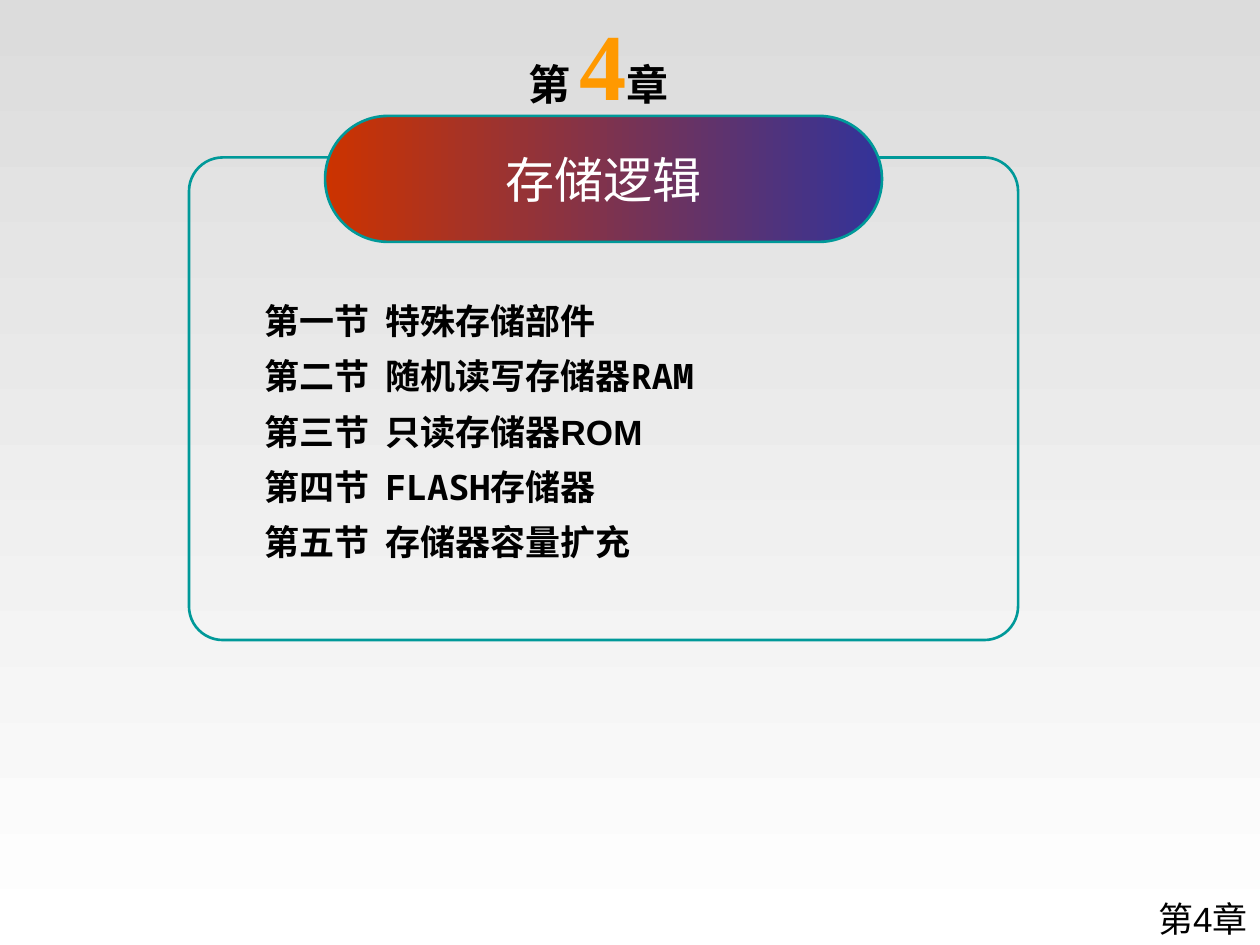
"""Build the contents slide of chapter 4, storage logic."""
from dataclasses import dataclass
from typing import Optional

import lxml.etree
import pptx
import pptx.dml.color
import pptx.dml.fill
import pptx.enum.shapes
import pptx.enum.text
import pptx.oxml.ns
import pptx.shapes.autoshape
import pptx.slide
import pptx.text.text
import pptx.util

Inches = pptx.util.Inches
Align = pptx.enum.text.PP_ALIGN
Anchor = pptx.enum.text.MSO_ANCHOR


@dataclass(frozen=True)
class Theme:
    black: str = "000000"
    white: str = "FFFFFF"
    orange: str = "FF9900"
    teal: str = "009999"
    backdrop: tuple[str, str] = ("DCDCDC", "FFFFFF")
    banner: tuple[str, str] = ("CC3300", "333399")
    serif: str = "Times New Roman"
    sans: str = "Arial"
    mono: str = "Noto Sans Mono"
    body_size: int = 20
    chapter_size: int = 24
    banner_size: int = 28
    numeral_size: int = 54
    outline: float = 1.5
    section_gap: float = 7.5


@dataclass(frozen=True)
class Area:
    left: float
    top: float
    width: float
    height: float

    def lengths(self) -> list[pptx.util.Length]:
        return [Inches(side) for side in (self.left, self.top, self.width, self.height)]


@dataclass(frozen=True)
class Span:
    text: str
    font: Optional[str] = None
    size: Optional[float] = None
    color: Optional[str] = None
    bold: Optional[bool] = None


THEME = Theme()
TITLE_TAB = Inches(0.96)
SECTIONS = [
    [Span("第一节\t特殊存储部件", THEME.serif)],
    [Span("第二节\t随机读写存储器", THEME.serif), Span("RAM", THEME.mono)],
    [Span("第三节\t只读存储器ROM", THEME.sans)],
    [Span("第四节\t", THEME.serif), Span("FLASH", THEME.mono), Span("存储器", THEME.serif)],
    [Span("第五节\t存储器容量扩充", THEME.serif)],
]


def style_font(font: pptx.text.text.Font, style: Span) -> None:
    """Apply the settings that the style names."""
    if style.font:
        font.name = style.font
    if style.size:
        font.size = pptx.util.Pt(style.size)
    if style.color:
        font.color.rgb = pptx.dml.color.RGBColor.from_string(style.color)
    if style.bold is not None:
        font.bold = style.bold


def write_para(para: pptx.text.text._Paragraph, base: Span, spans: list[Span], align: Align) -> None:
    """Write spans over a shared paragraph font."""
    para.alignment = align
    style_font(para.font, base)
    for span in spans:
        run = para.add_run()
        run.text = span.text
        style_font(run.font, span)


def add_text_box(slide: pptx.slide.Slide, area: Area) -> pptx.text.text.TextFrame:
    """Add a wrapping text box and return its frame."""
    frame = slide.shapes.add_textbox(*area.lengths()).text_frame
    frame.word_wrap = True
    return frame


def add_tab_stop(para: pptx.text.text._Paragraph, position: pptx.util.Length) -> None:
    """Give a paragraph one left tab stop."""
    name = pptx.oxml.ns.qn
    tabs = lxml.etree.SubElement(para._p.get_or_add_pPr(), name("a:tabLst"))
    lxml.etree.SubElement(tabs, name("a:tab"), pos=str(position), algn="l")


def fill_gradient(fill: pptx.dml.fill.FillFormat, colors: tuple[str, str], angle: float) -> None:
    """Fill with a two-colour linear gradient."""
    fill.gradient()
    fill.gradient_angle = angle
    for stop, color in zip(fill.gradient_stops, colors):
        stop.color.rgb = pptx.dml.color.RGBColor.from_string(color)


def add_rounded(slide: pptx.slide.Slide, area: Area, rounding: float) -> pptx.shapes.autoshape.Shape:
    """Add an unfilled rounded rectangle with the teal outline."""
    kind = pptx.enum.shapes.MSO_SHAPE.ROUNDED_RECTANGLE
    shape = slide.shapes.add_shape(kind, *area.lengths())
    shape.adjustments[0] = rounding
    shape.shadow.inherit = False
    shape.fill.background()
    shape.line.color.rgb = pptx.dml.color.RGBColor.from_string(THEME.teal)
    shape.line.width = pptx.util.Pt(THEME.outline)
    return shape


def add_sections(slide: pptx.slide.Slide) -> None:
    """List the sections with their titles aligned at a tab stop."""
    frame = add_text_box(slide, Area(2, 2.33, 5.92, 2.19))
    base = Span("", size=THEME.body_size, color=THEME.black, bold=True)
    for index, spans in enumerate(SECTIONS):
        para = frame.add_paragraph() if index else frame.paragraphs[0]
        if index:
            para.space_before = pptx.util.Pt(THEME.section_gap)
        add_tab_stop(para, TITLE_TAB)
        write_para(para, base, spans, Align.LEFT)


def add_banner(slide: pptx.slide.Slide) -> None:
    """Add the gradient pill with the chapter name."""
    banner = add_rounded(slide, Area(2.58, 0.92, 4.42, 1), 0.5)
    fill_gradient(banner.fill, THEME.banner, 0)
    frame = banner.text_frame
    frame.margin_left = frame.margin_right = frame.margin_top = frame.margin_bottom = 0
    frame.vertical_anchor = Anchor.MIDDLE
    base = Span("", THEME.sans, THEME.banner_size, THEME.white)
    write_para(frame.paragraphs[0], base, [Span("存储逻辑")], Align.CENTER)


def main() -> None:
    """Build and save the deck."""
    deck = pptx.Presentation()
    deck.slide_width, deck.slide_height = Inches(10), Inches(7.5)
    slide = deck.slides.add_slide(deck.slide_layouts[6])
    fill_gradient(slide.background.fill, THEME.backdrop, 270)

    corner = add_text_box(slide, Area(8.92, 7.07, 1.08, 0.43))
    corner_base = Span("", THEME.sans, THEME.body_size, THEME.black)
    write_para(corner.paragraphs[0], corner_base, [Span("第4章")], Align.RIGHT)

    heading = add_text_box(slide, Area(3, 0, 3.5, 1))
    heading_base = Span("", THEME.serif, bold=True)
    heading_spans = [
        Span("第 ", size=THEME.chapter_size, color=THEME.black),
        Span("4", size=THEME.numeral_size, color=THEME.orange),
        Span("章", size=THEME.chapter_size, color=THEME.black),
    ]
    write_para(heading.paragraphs[0], heading_base, heading_spans, Align.CENTER)

    add_sections(slide)
    add_rounded(slide, Area(1.5, 1.25, 6.58, 3.83), 0.07)
    add_banner(slide)
    deck.save("out.pptx")


if __name__ == "__main__":
    main()
